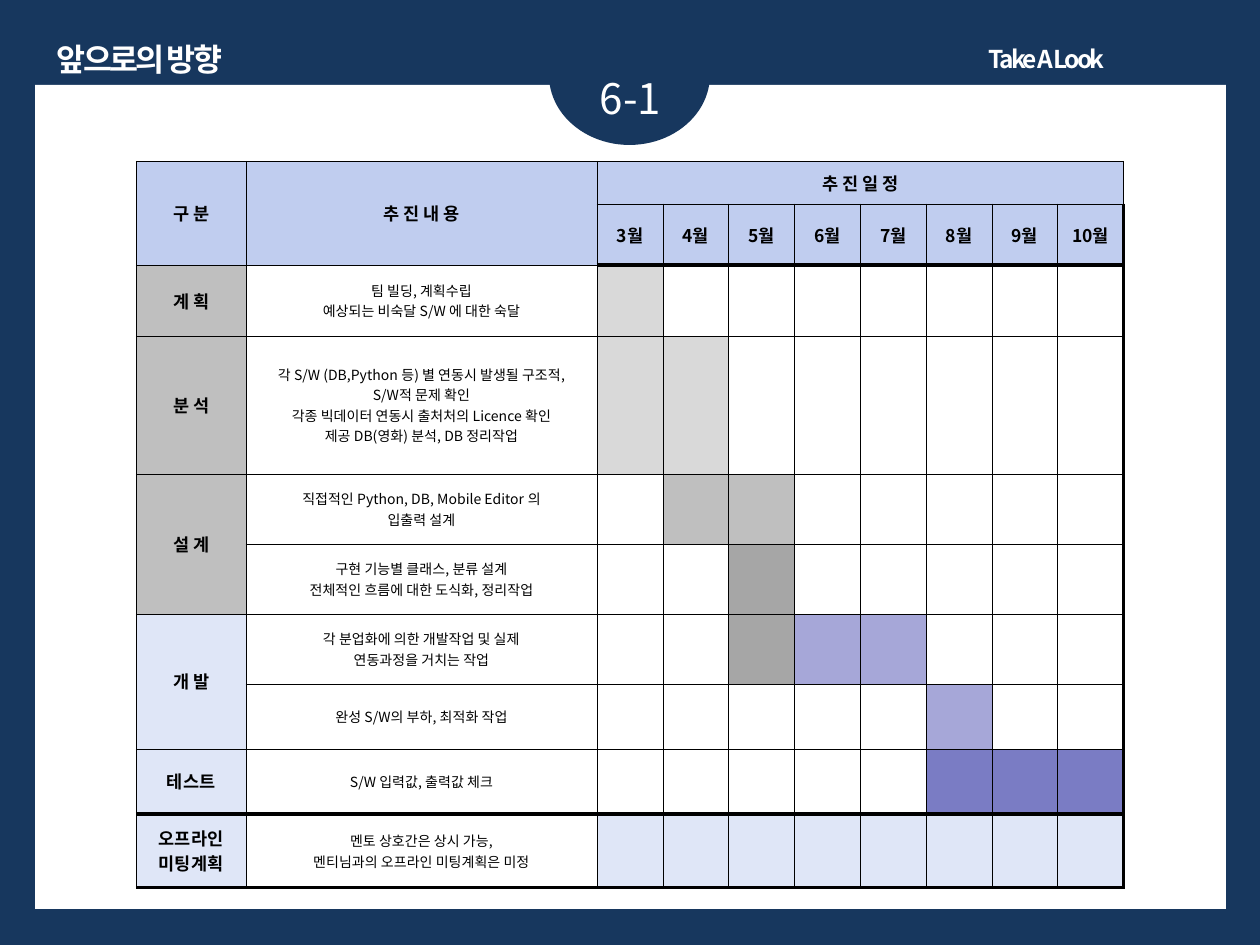
"""Build the project schedule slide with its Gantt-style table."""
from lxml.etree import SubElement
from pptx import Presentation
from pptx.dml.color import RGBColor
from pptx.enum.shapes import MSO_SHAPE as SHAPE
from pptx.enum.text import MSO_ANCHOR as ANCHOR, MSO_AUTO_SIZE as AUTO, PP_ALIGN as ALIGN
from pptx.oxml.ns import qn
from pptx.util import Emu, Pt

FONT = "Noto Sans CJK KR"
NAVY = RGBColor(0x17, 0x37, 0x5E)
WHITE = RGBColor(0xFF, 0xFF, 0xFF)
BLACK = RGBColor(0, 0, 0)
HEADER = RGBColor(0xC0, 0xCD, 0xEF)
PALE = RGBColor(0xDF, 0xE6, 0xF7)
LIGHT_GRAY = RGBColor(0xD9, 0xD9, 0xD9)
GRAY = RGBColor(0xBF, 0xBF, 0xBF)
DARK_GRAY = RGBColor(0xA6, 0xA6, 0xA6)
LILAC = RGBColor(0xA6, 0xA7, 0xD8)
VIOLET = RGBColor(0x7A, 0x7C, 0xC4)

MONTHS = range(3, 11)
PHASES = [
    (2, 1, "계 획", GRAY),
    (3, 2, "분 석", GRAY),
    (5, 2, "설 계", GRAY),
    (7, 2, "개 발", PALE),
    (9, 1, "테스트", PALE),
    (10, 1, "오프라인\n미팅계획", PALE),
]
TASKS = {
    2: "팀 빌딩, 계획수립\n예상되는 비숙달 S/W 에 대한 숙달",
    3: "각 S/W (DB,Python 등) 별 연동시 발생될 구조적,\nS/W적 문제 확인\n"
       "각종 빅데이터 연동시 출처처의 Licence 확인\n제공 DB(영화) 분석, DB 정리작업",
    5: "직접적인 Python, DB, Mobile Editor 의\n입출력 설계",
    6: "구현 기능별 클래스, 분류 설계\n전체적인 흐름에 대한 도식화, 정리작업",
    7: "각 분업화에 의한 개발작업 및 실제\n연동과정을 거치는 작업",
    8: "완성 S/W의 부하, 최적화 작업",
    9: "S/W 입력값, 출력값 체크",
    10: "멘토 상호간은 상시 가능,\n멘티님과의 오프라인 미팅계획은 미정",
}
SCHEDULE = [
    (2, (3,), LIGHT_GRAY),
    (3, (3, 4), LIGHT_GRAY),
    (4, (3, 4), LIGHT_GRAY),
    (5, (4, 5), GRAY),
    (6, (5,), DARK_GRAY),
    (7, (5,), DARK_GRAY),
    (7, (6, 7), LILAC),
    (8, (8,), LILAC),
    (9, (8, 9, 10), VIOLET),
    (10, MONTHS, PALE),
]
ROW_HEIGHTS = [43, 61, 71, 69, 69, 70, 70, 70, 65, 65, 74]
PHASE_W, TASK_W, MONTHS_W = 110, 351, 527
FIRST_MONTH_COL = 2
THIN, EDGE, THICK = 0.33, 2.04, 2.37


def px(n):
    """Turn pixels into EMU."""
    return Emu(round(n * 914400 / 126))


def write(tf, text, size=10, bold=False, color=BLACK, spacing=None):
    """Fill a text frame with centred paragraphs, one per line of text."""
    for i, line in enumerate(text.split("\n")):
        p = tf.paragraphs[0] if i == 0 else tf.add_paragraph()
        p.alignment = ALIGN.CENTER
        r = p.add_run()
        r.text = line
        r.font.size, r.font.bold = Pt(size), bold
        r.font.color.rgb = color
        r.font.name = FONT
        rpr = r.font._element
        SubElement(rpr, qn("a:ea"), typeface=FONT)
        if spacing:
            rpr.set("spc", str(round(spacing * 100)))


def place_text(sp, box, text, **fmt):
    """Position a text shape and write its text."""
    sp.left, sp.top, sp.width, sp.height = map(px, box)
    tf = sp.text_frame
    tf.word_wrap, tf.auto_size = True, AUTO.SHAPE_TO_FIT_TEXT
    tf.vertical_anchor = ANCHOR.TOP
    write(tf, text, color=WHITE, **fmt)


def add_block(s, kind, box, color):
    """Add a flat filled shape."""
    sp = s.shapes.add_shape(kind, *map(px, box))
    sp.shadow.inherit = False
    sp.fill.solid()
    sp.fill.fore_color.rgb = color
    sp.line.fill.background()


def horizontal_edge(row, col):
    """Return the width of the rule above a row."""
    if row == 2 and col >= FIRST_MONTH_COL:
        return THICK
    return {4: 0, 10: THICK, 11: EDGE}.get(row, THIN)


def set_borders(cell, row, col):
    """Draw the four borders of a cell."""
    right = EDGE if row >= 1 and col == FIRST_MONTH_COL + len(MONTHS) - 1 else THIN
    widths = {"L": THIN, "R": right,
              "T": horizontal_edge(row, col), "B": horizontal_edge(row + 1, col)}
    tcpr = cell._tc.get_or_add_tcPr()
    for side, width in widths.items():
        ln = SubElement(tcpr, qn(f"a:ln{side}"), w=str(Pt(width)))
        if width:
            fill = SubElement(ln, qn("a:solidFill"))
            SubElement(fill, qn("a:srgbClr"), val=str(BLACK))
        else:
            SubElement(ln, qn("a:noFill"))


def add_schedule(s):
    """Add the schedule table."""
    n_cols = FIRST_MONTH_COL + len(MONTHS)
    width = PHASE_W + TASK_W + MONTHS_W
    table = s.shapes.add_table(len(ROW_HEIGHTS), n_cols, px(136), px(161),
                               px(width), px(sum(ROW_HEIGHTS))).table
    table.first_row = table.horz_banding = False
    for row, height in zip(table.rows, ROW_HEIGHTS):
        row.height = px(height)
    col_widths = [PHASE_W, TASK_W] + [MONTHS_W / len(MONTHS)] * len(MONTHS)
    for col, col_width in zip(table.columns, col_widths):
        col.width = px(col_width)

    month_col = {m: FIRST_MONTH_COL + i for i, m in enumerate(MONTHS)}
    labels = [(0, 0, 2, 1, "구 분", HEADER), (0, 1, 2, 1, "추 진 내 용", HEADER),
              (0, FIRST_MONTH_COL, 1, len(MONTHS), "추 진 일 정", HEADER)]
    labels += [(1, c, 1, 1, f"{m}월", HEADER) for m, c in month_col.items()]
    labels += [(r, 0, span, 1, text, color) for r, span, text, color in PHASES]
    fills = {(r, c): color for r, c, *_, color in labels}
    fills |= {(r, month_col[m]): color for r, months, color in SCHEDULE for m in months}

    for r in range(len(ROW_HEIGHTS)):
        for c in range(n_cols):
            cell = table.cell(r, c)
            set_borders(cell, r, c)
            cell.vertical_anchor = ANCHOR.MIDDLE
            if (r, c) in fills:
                cell.fill.solid()
                cell.fill.fore_color.rgb = fills[r, c]
            else:
                cell.fill.background()
    for r, c, rows, cols, text, _ in labels:
        cell = table.cell(r, c)
        if rows * cols > 1:
            cell.merge(table.cell(r + rows - 1, c + cols - 1))
        write(cell.text_frame, text, bold=True)
    table.cell(3, 1).merge(table.cell(4, 1))
    for r, text in TASKS.items():
        write(table.cell(r, 1).text_frame, text, size=8)


def main():
    """Build and save the slide."""
    prs = Presentation()
    prs.slide_width, prs.slide_height = px(1260), px(945)
    s = prs.slides.add_slide(prs.slide_layouts[5])
    s.background.fill.solid()
    s.background.fill.fore_color.rgb = NAVY

    def add_text(box, text, **fmt):
        place_text(s.shapes.add_textbox(0, 0, 0, 0), box, text, **fmt)

    add_block(s, SHAPE.RECTANGLE, (35, 85, 1191, 824), WHITE)
    add_text((868, 38, 357, 43), "Take A Look", size=14, bold=True, spacing=-1.5)
    place_text(s.shapes.title, (35, 34, 209, 50), "앞으로의 방향",
               size=18, bold=True, spacing=-1.5)
    add_block(s, SHAPE.OVAL, (549, 5, 161, 140), NAVY)
    add_text((556, 66, 149, 63), "6-1", size=24)
    add_schedule(s)
    prs.save("out.pptx")


if __name__ == "__main__":
    main()
